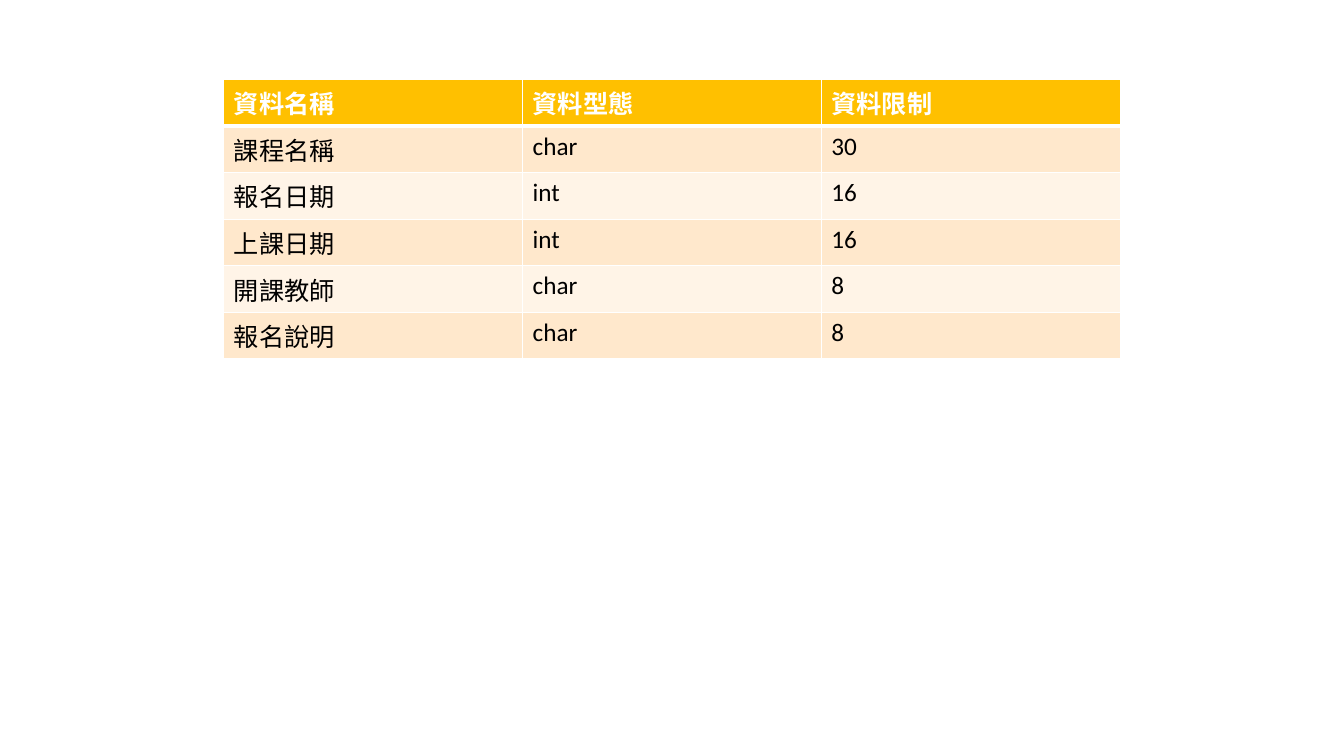
from lxml import etree
from pptx import Presentation
from pptx import util as u
from pptx.dml import color
from pptx.oxml import ns


def rgb(value):
    return color.RGBColor.from_string(value)


class SlideBuilder:
    font_name = "Calibri"
    font_size = u.Pt(18)
    header_fill = "FFC000"
    band_fills = ("FFE8CC", "FFF4E7")
    header_text = "FFFFFF"
    body_text = "000000"
    border_color = "FFFFFF"

    def __init__(self, slide):
        self.slide = slide

    def border(self, cell, widths):
        properties = cell._tc.get_or_add_tcPr()
        for position, (side, points) in enumerate(widths.items()):
            line = etree.Element(ns.qn(f"a:ln{side}"), w=str(u.Pt(points)))
            fill = etree.SubElement(line, ns.qn("a:solidFill"))
            etree.SubElement(fill, ns.qn("a:srgbClr"), val=self.border_color)
            properties.insert(position, line)

    def cell(self, cell, content, row):
        is_header = row == 0
        cell.text = content
        cell.fill.solid()
        fill = self.header_fill if is_header else self.band_fills[(row - 1) % 2]
        cell.fill.fore_color.rgb = rgb(fill)
        font = cell.text_frame.paragraphs[0].font
        font.name = self.font_name
        font.size = self.font_size
        font.bold = is_header
        font.color.rgb = rgb(self.header_text if is_header else self.body_text)
        self.border(cell, {"L": 1, "R": 1, "T": 3 if row == 1 else 1, "B": 3 if is_header else 1})

    def table(self, records, left, top, column_width, row_height):
        columns = len(records[0])
        fields = self.slide.shapes.add_table(
            len(records), columns, u.Cm(left), u.Cm(top),
            u.Cm(column_width * columns), u.Cm(row_height * len(records)),
        ).table
        for row, record in enumerate(records):
            for column, content in enumerate(record):
                self.cell(fields.cell(row, column), content, row)


def main():
    deck = Presentation()
    deck.slide_width = u.Cm(33.87)
    deck.slide_height = u.Cm(19.05)
    builder = SlideBuilder(deck.slides.add_slide(deck.slide_layouts[6]))
    course_fields = [
        ("資料名稱", "資料型態", "資料限制"),
        ("課程名稱", "char", "30"),
        ("報名日期", "int", "16"),
        ("上課日期", "int", "16"),
        ("開課教師", "char", "8"),
        ("報名說明", "char", "8"),
    ]
    builder.table(course_fields, left=5.64, top=2, column_width=7.53, row_height=1.03)
    deck.save("out.pptx")


if __name__ == "__main__":
    main()
